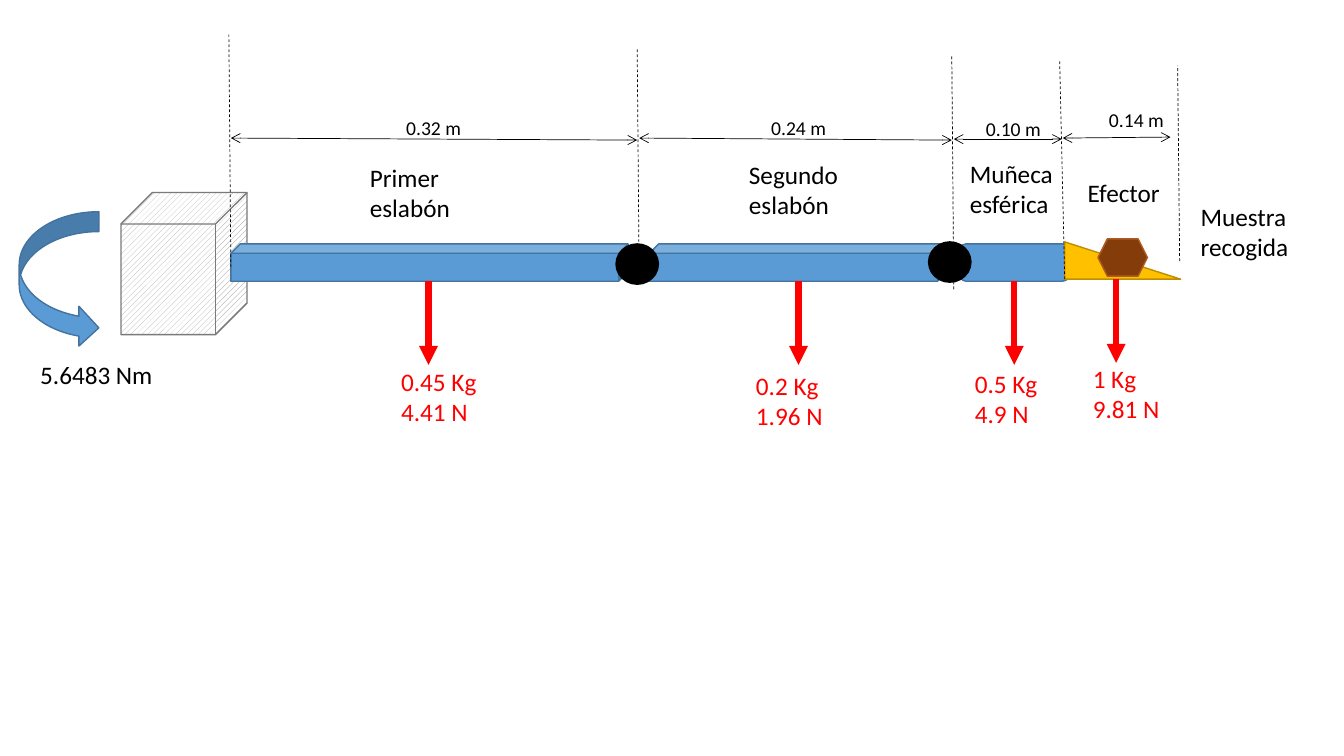
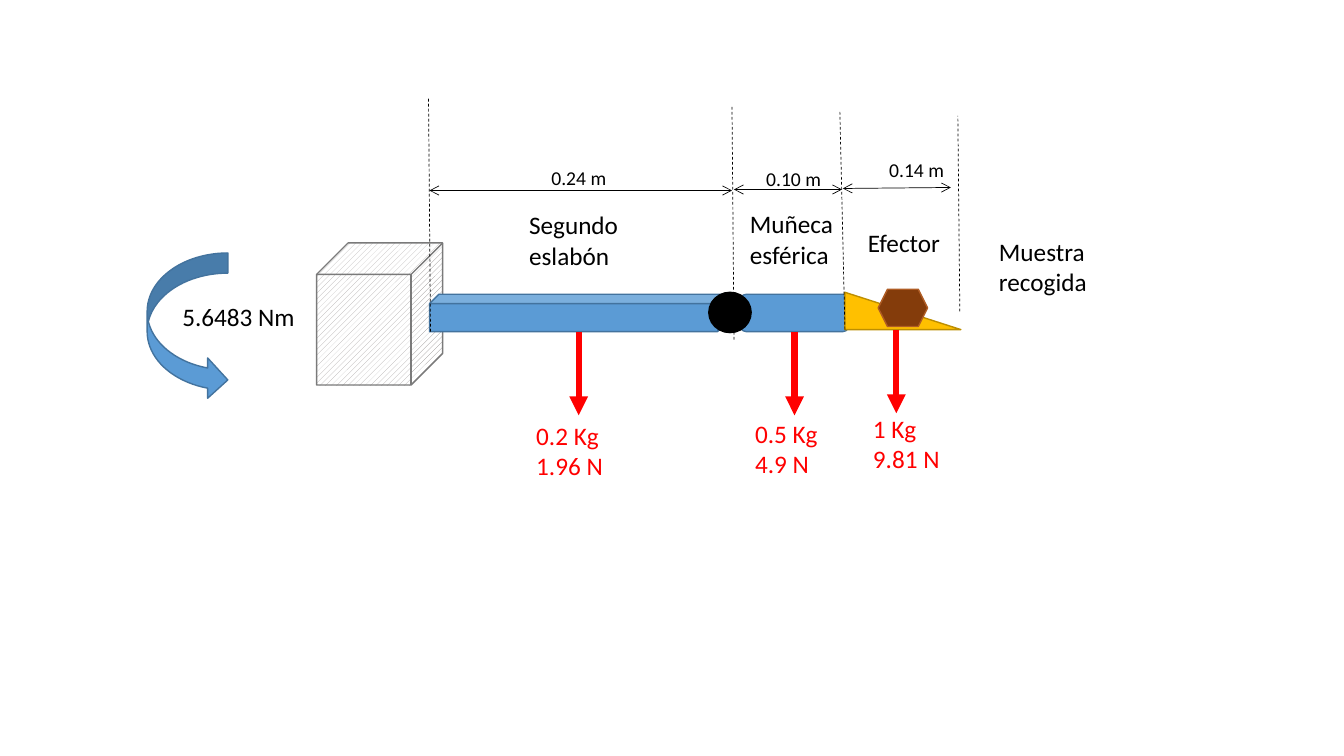
from lxml.etree import SubElement
from pptx import Presentation
from pptx.dml.color import RGBColor
from pptx.enum.dml import MSO_LINE, MSO_PATTERN
from pptx.enum.shapes import MSO_CONNECTOR, MSO_SHAPE
from pptx.enum.text import MSO_AUTO_SIZE
from pptx.oxml.ns import qn
from pptx.util import Inches, Pt

THEME = {
    "font": "Calibri", "label": 18, "small": 14,
    "ink": "000000", "force": "FF0000",
    # part: (fill, outline)
    "motor": ("FFFFFF", "7A7A7A"), "hatch": "AFABAB",
    "link": ("5B9BD5", "43739E"), "joint": ("000000", "000000"),
    "effector": ("FFC000", "BD8E00"), "sample": ("843C0B", "AF5C24"),
}
BAR_TOP, BAR_H = 2.42, 0.37
JOINT_SIZE = (0.42, 0.40)
MOTOR_SIZE = (1.25, 1.41)
FORCE_LEN = 0.83

# Arm segments from base to tip, in the coordinates of the full arm.
# span and guide are (x1, y1, x2, y2); the guide closes the segment.
SEGMENTS = [
    {"shape": MSO_SHAPE.CUBE, "style": "link", "box": (2.29, BAR_TOP, 3.94, BAR_H),
     "joint": (6.11, 2.42), "force": (4.25, 2.79),
     "name": ("Primer eslabón", 3.57, 1.56, 1.37),
     "span": (2.29, 1.37, 6.32, 1.39), "length": ("0.32 m", 3.93, 1.10),
     "guide": (6.34, 2.80, 6.32, 0.47), "load": ("0.45 Kg\n4.41 N", 3.88, 3.58)},
    {"shape": MSO_SHAPE.CUBE, "style": "link", "box": (6.44, BAR_TOP, 2.95, BAR_H),
     "joint": (9.21, 2.40), "force": (7.92, 2.79),
     "name": ("Segundo eslabón", 7.33, 1.53, 1.17),
     "span": (6.34, 1.37, 9.44, 1.39), "length": ("0.24 m", 7.55, 1.10),
     "guide": (9.46, 2.87, 9.44, 0.54), "load": ("0.2 Kg\n1.96 N", 7.40, 3.62)},
    {"shape": MSO_SHAPE.ROUNDED_RECTANGLE, "style": "link",
     "box": (9.52, BAR_TOP, 1.08, BAR_H), "force": (10.06, 2.79),
     "name": ("Muñeca esférica", 9.52, 1.52, 1.17),
     "span": (9.46, 1.38, 10.53, 1.38), "length": ("0.10 m", 9.68, 1.11),
     "guide": (10.56, 2.77, 10.51, 0.61), "load": ("0.5 Kg\n4.9 N", 9.57, 3.60)},
    {"shape": MSO_SHAPE.RIGHT_TRIANGLE, "style": "effector",
     "box": (10.56, 2.40, 1.15, BAR_H), "force": (11.07, 2.77),
     "name": ("Efector", 10.69, 1.71, 1.83),
     "span": (10.54, 1.37, 11.61, 1.36), "length": ("0.14 m", 10.90, 1.02),
     "guide": (11.70, 2.59, 11.68, 0.65), "load": ("1 Kg\n9.81 N", 10.74, 3.55)},
]
SAMPLE = (10.89, 2.37, 0.49, 0.37)

# Each scene shifts the arm and drops its first segments; the rest is in slide inches.
SCENES = [
    {"first": 0, "shift": (0, 0), "motor": (1.20, 1.91),
     "base_span": (2.29, 1.37, 6.32, 1.39), "base_guide": (2.29, 2.65, 2.27, 0.32),
     "turn": (0.19, 2.10, 0.79, 1.35), "torque": (0.30, 3.52), "sample": (11.81, 1.95)},
    {"first": 1, "shift": (-2.18, 0.5), "motor": (3.14, 2.41),
     "base_span": (4.26, 1.89, 7.26, 1.89), "base_guide": (4.27, 3.29, 4.25, 0.96),
     "turn": (1.46, 2.51, 0.80, 1.46), "torque": (1.71, 2.94), "sample": (9.81, 2.29)},
]


def add_part(s, shape, box, style):
    fill, outline = THEME[style]
    sp = s.shapes.add_shape(shape, *map(Inches, box))
    sp.shadow.inherit = False
    if style == "motor":
        sp.fill.patterned()
        sp.fill.pattern = MSO_PATTERN.WIDE_UPWARD_DIAGONAL
        sp.fill.fore_color.rgb = RGBColor.from_string(THEME["hatch"])
        sp.fill.back_color.rgb = RGBColor.from_string(fill)
    else:
        sp.fill.solid()
        sp.fill.fore_color.rgb = RGBColor.from_string(fill)
    sp.line.color.rgb = RGBColor.from_string(outline)
    sp.line.width = Pt(1)
    return sp


def add_line(s, ends, color="ink", width=0.5, dash=None, head=None, tail=None):
    ln = s.shapes.add_connector(MSO_CONNECTOR.STRAIGHT, *map(Inches, ends))
    ln.line.color.rgb = RGBColor.from_string(THEME[color])
    for name, value in {"width": Pt(width), "dash_style": dash}.items():
        setattr(ln.line, name, value)
    for tag, kind in (("a:headEnd", head), ("a:tailEnd", tail)):
        if kind:
            SubElement(ln.line._get_or_add_ln(), qn(tag), type=kind)
    SubElement(ln._element.spPr, qn("a:effectLst"))
    return ln


def add_text(s, text, x, y, w, h, size="label", color="ink", wrap=True):
    tf = s.shapes.add_textbox(*map(Inches, (x, y, w, h))).text_frame
    tf.word_wrap = wrap
    tf.auto_size = MSO_AUTO_SIZE.SHAPE_TO_FIT_TEXT
    p = tf.paragraphs[0]
    p.text = text
    for r in p.runs:
        for name, value in {"name": THEME["font"], "size": Pt(THEME[size])}.items():
            setattr(r.font, name, value)
        r.font.color.rgb = RGBColor.from_string(THEME[color])


def build_scene(s, scene):
    dx, dy = scene["shift"]
    segments = SEGMENTS[scene["first"]:]

    def move(x, y, *rest):
        return (x + dx, y + dy, *rest)

    def move_line(x1, y1, x2, y2):
        return move(x1, y1) + move(x2, y2)

    # Motor, links, joints and sample
    add_part(s, MSO_SHAPE.CUBE, scene["motor"] + MOTOR_SIZE, "motor")
    bodies = [add_part(s, seg["shape"], move(*seg["box"]), seg["style"])
              for seg in segments]
    for seg in segments:
        if "joint" in seg:
            add_part(s, MSO_SHAPE.OVAL, move(*seg["joint"]) + JOINT_SIZE, "joint")
    add_part(s, MSO_SHAPE.HEXAGON, move(*SAMPLE), "sample")

    # Forces, names, lengths and loads
    add_line(s, scene["base_guide"], dash=MSO_LINE.DASH)
    for i, (seg, body) in enumerate(zip(segments, bodies)):
        x, y = move(*seg["force"])
        arrow = add_line(s, (x, y, x, y + FORCE_LEN), "force", 4.5, tail="triangle")
        if seg["shape"] == MSO_SHAPE.ROUNDED_RECTANGLE:
            arrow.begin_connect(body, 2)
        span = move_line(*seg["span"]) if i else scene["base_span"]
        add_line(s, span, head="arrow", tail="arrow")
        add_line(s, move_line(*seg["guide"]), dash=MSO_LINE.DASH)
        name, x, y, w = seg["name"]
        add_text(s, name, *move(x, y), w, 0.71 if " " in name else 0.4)
        length, x, y = seg["length"]
        add_text(s, length, *move(x, y), 0.75, 0.34, size="small", wrap=False)
        load, x, y = seg["load"]
        add_text(s, load, *move(x, y), 1.06, 0.71, color="force")

    # Torque and sample label
    add_text(s, "Muestra recogida", *scene["sample"], 1.83, 0.71)
    add_part(s, MSO_SHAPE.CURVED_RIGHT_ARROW, scene["turn"], "link")
    add_text(s, "5.6483 Nm", *scene["torque"], 1.37, 0.4)


def main():
    prs = Presentation()
    prs.slide_width, prs.slide_height = Inches(13.33), Inches(7.5)
    for scene in SCENES:
        build_scene(prs.slides.add_slide(prs.slide_layouts[6]), scene)
    prs.save("out.pptx")


if __name__ == "__main__":
    main()
